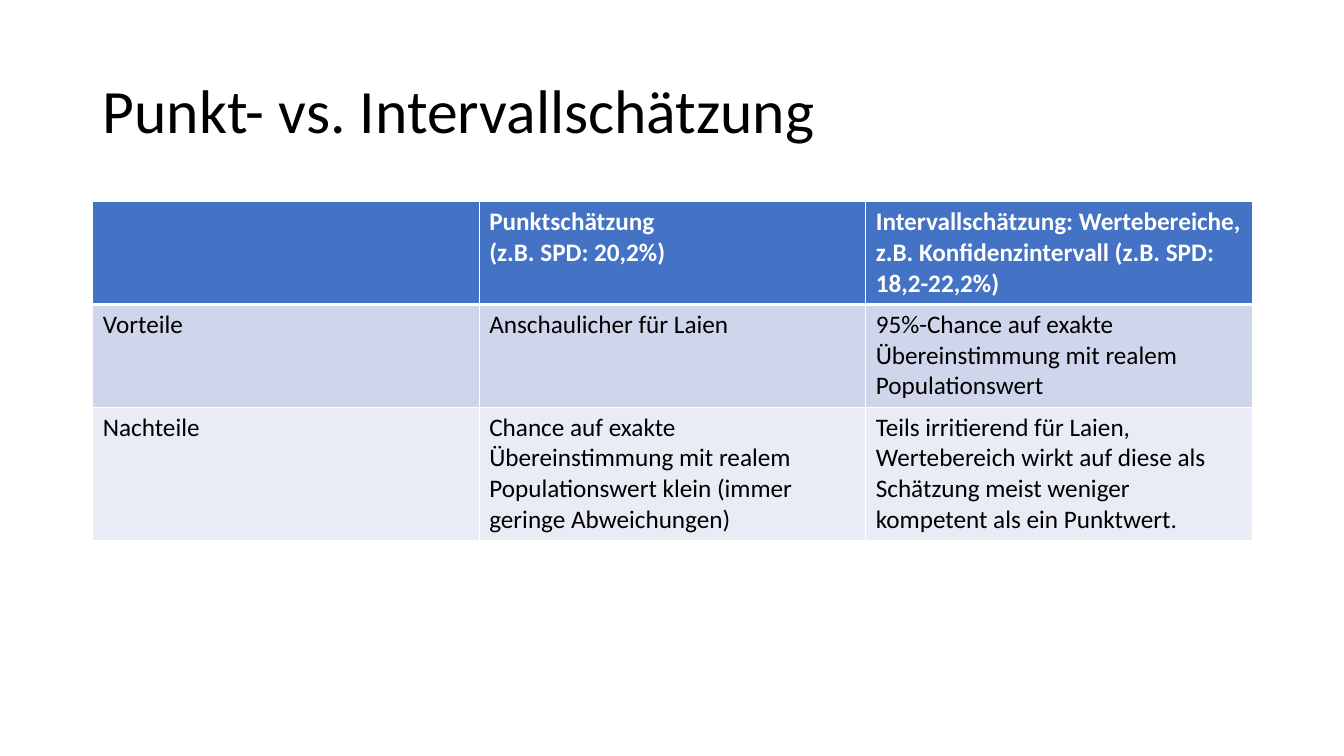
from lxml import etree
from pptx import Presentation
from pptx.dml.color import RGBColor
from pptx.enum.text import MSO_ANCHOR, PP_ALIGN
from pptx.oxml.ns import qn
from pptx.util import Inches, Pt

MIDDLE, LEFT = MSO_ANCHOR.MIDDLE, PP_ALIGN.LEFT
COLORS = {
    "text": "000000",
    "white": "FFFFFF",
    "header": "4472C4",
    "band_dark": "CFD5EA",
    "band_light": "E9EBF5",
}
COMPARISON = [
    ["", "Punktschätzung \v(z.B. SPD: 20,2%)",
     "Intervallschätzung: Wertebereiche, z.B. Konfidenzintervall (z.B. SPD: 18,2-22,2%)"],
    ["Vorteile", "Anschaulicher für Laien",
     "95%-Chance auf exakte Übereinstimmung mit realem Populationswert"],
    ["Nachteile",
     "Chance auf exakte Übereinstimmung mit realem Populationswert klein "
     "(immer geringe Abweichungen)",
     "Teils irritierend für Laien, Wertebereich wirkt auf diese als Schätzung "
     "meist weniger kompetent als ein Punktwert."],
]
ROW_HEIGHTS = [1.02, 1.02, 1.32]


class SlideBuilder:
    """Holds the text style, the content column and the current slide."""
    font = "Calibri"
    left, width = 0.92, 11.5

    def __init__(self, deck):
        self.slide = deck.slides.add_slide(deck.slide_layouts[5])

    def style(self, frame, size, color, bold=False):
        for paragraph in frame.paragraphs:
            paragraph.alignment = LEFT
            for run in paragraph.runs:
                run.font.name, run.font.size, run.font.bold = self.font, Pt(size), bold
                run.font.color.rgb = RGBColor.from_string(COLORS[color])

    def title(self, text, top, height):
        heading = self.slide.shapes.title
        heading.left, heading.top = Inches(self.left), Inches(top)
        heading.width, heading.height = Inches(self.width), Inches(height)
        frame = heading.text_frame
        frame.text = text
        frame.vertical_anchor = MIDDLE
        frame.paragraphs[0].line_spacing = 0.9
        self.style(frame, 44, "text")

    def border(self, cell, side, points):
        properties = cell._tc.get_or_add_tcPr()
        line = etree.SubElement(properties, qn(f"a:ln{side}"), w=str(Pt(points)))
        fill = etree.SubElement(line, qn("a:solidFill"))
        etree.SubElement(fill, qn("a:srgbClr"), val=COLORS["white"])

    def table(self, rows, heights, top):
        grid = self.slide.shapes.add_table(
            len(rows), len(rows[0]), Inches(self.left), Inches(top),
            Inches(self.width), Inches(sum(heights))).table
        for r, (texts, height) in enumerate(zip(rows, heights)):
            grid.rows[r].height = Inches(height)
            is_header = r == 0
            band = "header" if is_header else ("band_light", "band_dark")[r % 2]
            # The rule below the header is heavier than the other borders
            weights = {"L": 1, "R": 1, "T": 3 if r == 1 else 1, "B": 3 if is_header else 1}
            for c, text in enumerate(texts):
                cell = grid.cell(r, c)
                cell.text_frame.text = text
                self.style(cell.text_frame, 18, "white" if is_header else "text", is_header)
                for side, points in weights.items():
                    self.border(cell, side, points)
                cell.fill.solid()
                cell.fill.fore_color.rgb = RGBColor.from_string(COLORS[band])


def main():
    deck = Presentation()
    deck.slide_width, deck.slide_height = Inches(13.33), Inches(7.5)
    builder = SlideBuilder(deck)
    # Heading
    builder.title("Punkt- vs. Intervallschätzung", top=0.4, height=1.45)
    # Comparison of both kinds of estimate
    builder.table(COMPARISON, ROW_HEIGHTS, top=2)
    deck.save("out.pptx")


if __name__ == "__main__":
    main()
